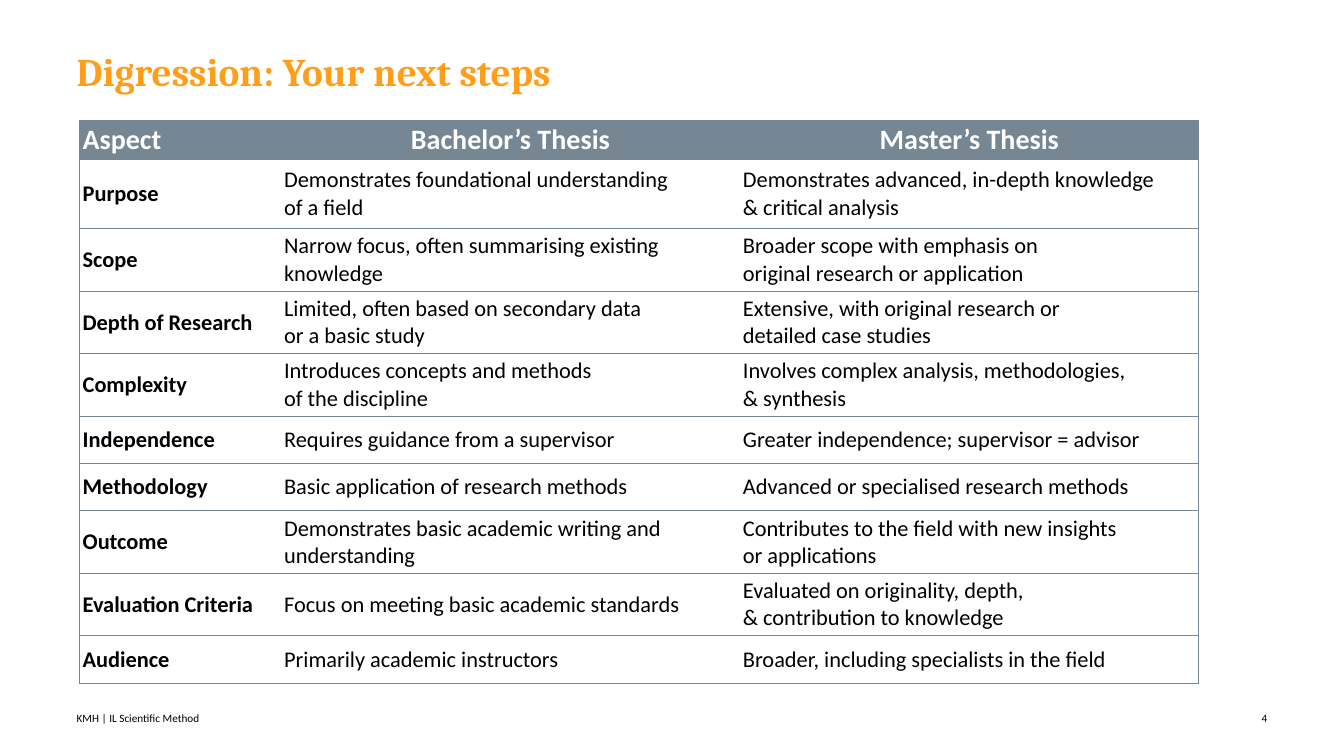
from dataclasses import dataclass

from lxml.etree import SubElement
from pptx import Presentation
from pptx.dml.color import RGBColor as RGB
from pptx.enum.text import MSO_ANCHOR as Anchor, MSO_AUTO_SIZE as AutoSize, PP_ALIGN as Align
from pptx.oxml.ns import qn
from pptx.util import Inches, Pt


@dataclass(frozen=True)
class Theme:
    accent: str = "FF9E1B"
    slate: str = "768692"
    paper: str = "FFFFFF"
    ink: str = "000000"
    heading_font: str = "Cambria"
    body_font: str = "Calibri"
    title_size: int = 28
    header_size: int = 20
    cell_size: int = 16
    footer_size: int = 8


THEME = Theme()
SLIDE_WIDTH, SLIDE_HEIGHT = 13.33, 7.5
LEFT_MARGIN = 0.76

# Table grid
TABLE_LEFT, TABLE_TOP, TABLE_WIDTH = 0.79, 1.2, 11.1
COLUMN_SHARES = (0.18, 0.41, 0.41)
HEADER_ROW, FIRST_ROW, TALL_ROW, SHORT_ROW = 0.33, 0.69, 0.62, 0.47

HEADINGS = ("Aspect", "Bachelor’s Thesis", "Master’s Thesis")
ASPECTS = (
    (FIRST_ROW, "Purpose", "Demonstrates foundational understanding \vof a field",
     "Demonstrates advanced, in-depth knowledge \v& critical analysis"),
    (TALL_ROW, "Scope", "Narrow focus, often summarising existing knowledge",
     "Broader scope with emphasis on \voriginal research or application"),
    (TALL_ROW, "Depth of Research", "Limited, often based on secondary data \vor a basic study",
     "Extensive, with original research or \vdetailed case studies"),
    (TALL_ROW, "Complexity", "Introduces concepts and methods \vof the discipline",
     "Involves complex analysis, methodologies, \v& synthesis"),
    (SHORT_ROW, "Independence", "Requires guidance from a supervisor",
     "Greater independence; supervisor = advisor"),
    (SHORT_ROW, "Methodology", "Basic application of research methods",
     "Advanced or specialised research methods"),
    (TALL_ROW, "Outcome", "Demonstrates basic academic writing and understanding",
     "Contributes to the field with new insights \vor applications"),
    (TALL_ROW, "Evaluation Criteria", "Focus on meeting basic academic standards",
     "Evaluated on originality, depth, \v& contribution to knowledge"),
    (SHORT_ROW, "Audience", "Primarily academic instructors",
     "Broader, including specialists in the field"),
)


def write(frame, text, size, color, font=THEME.body_font, bold=False, align=Align.LEFT):
    """Fill a text frame with one formatted paragraph."""
    frame.text = text
    paragraph = frame.paragraphs[0]
    paragraph.alignment = align
    paragraph.font.name = font
    paragraph.font.size = Pt(size)
    paragraph.font.bold = bold
    paragraph.font.color.rgb = RGB.from_string(color)
    return paragraph


def clear_insets(frame):
    frame.margin_left = frame.margin_right = frame.margin_top = frame.margin_bottom = 0
    frame.word_wrap = True


def add_title(slide, text):
    title = slide.shapes.title
    title.left, title.top = Inches(LEFT_MARGIN), Inches(0.52)
    title.width, title.height = Inches(9.76), Inches(0.87)
    frame = title.text_frame
    clear_insets(frame)
    frame.auto_size = AutoSize.NONE
    frame.vertical_anchor = Anchor.TOP
    paragraph = write(frame, text, THEME.title_size, THEME.accent, THEME.heading_font, bold=True)
    paragraph.line_spacing = 0.9


def add_footer(slide, text, left, width, align):
    footer = slide.shapes.add_textbox(Inches(left), Inches(7.04), Inches(width), Inches(0.16))
    clear_insets(footer.text_frame)
    footer.text_frame.vertical_anchor = Anchor.MIDDLE
    write(footer.text_frame, text, THEME.footer_size, THEME.ink, align=align)


def set_borders(cell, ruled_sides):
    """Rule the given sides of a cell and blank the others."""
    properties = cell._tc.get_or_add_tcPr()
    for side in "LRTB":
        line = SubElement(properties, qn(f"a:ln{side}"), w=str(Pt(1)))
        if side in ruled_sides:
            solid = SubElement(line, qn("a:solidFill"))
            SubElement(solid, qn("a:srgbClr"), val=THEME.slate)
        else:
            SubElement(line, qn("a:noFill"))


def format_cell(cell, text, is_header, column):
    outer_side = {0: "L", len(HEADINGS) - 1: "R"}.get(column, "")
    set_borders(cell, "TB" + outer_side)
    cell.fill.solid()
    cell.fill.fore_color.rgb = RGB.from_string(THEME.slate if is_header else THEME.paper)
    cell.margin_left = cell.margin_right = Inches(0.03)
    cell.margin_top = cell.margin_bottom = Inches(0.02)
    cell.vertical_anchor = Anchor.BOTTOM if is_header else Anchor.MIDDLE
    write(cell.text_frame, text,
          THEME.header_size if is_header else THEME.cell_size,
          THEME.paper if is_header else THEME.ink,
          bold=is_header or column == 0,
          align=Align.CENTER if is_header and column else Align.LEFT)


def add_comparison(slide):
    rows = ((HEADER_ROW, *HEADINGS), *ASPECTS)
    height = sum(row[0] for row in rows)
    comparison = slide.shapes.add_table(
        len(rows), len(HEADINGS), Inches(TABLE_LEFT), Inches(TABLE_TOP),
        Inches(TABLE_WIDTH), Inches(height)).table
    comparison.horz_banding = False
    for column, share in zip(comparison.columns, COLUMN_SHARES):
        column.width = Inches(TABLE_WIDTH * share)
    for index, (row_height, *texts) in enumerate(rows):
        comparison.rows[index].height = Inches(row_height)
        for column, text in enumerate(texts):
            format_cell(comparison.cell(index, column), text, index == 0, column)


def main():
    deck = Presentation()
    deck.slide_width, deck.slide_height = Inches(SLIDE_WIDTH), Inches(SLIDE_HEIGHT)
    slide = deck.slides.add_slide(deck.slide_layouts.get_by_name("Title Only"))

    # Heading and thesis comparison
    add_title(slide, "Digression: Your next steps")
    add_comparison(slide)

    # Footer line
    add_footer(slide, "KMH | IL Scientific Method", LEFT_MARGIN, 5.59, Align.LEFT)
    add_footer(slide, "4", SLIDE_WIDTH - LEFT_MARGIN - 0.55, 0.55, Align.RIGHT)

    deck.save("out.pptx")


if __name__ == "__main__":
    main()
